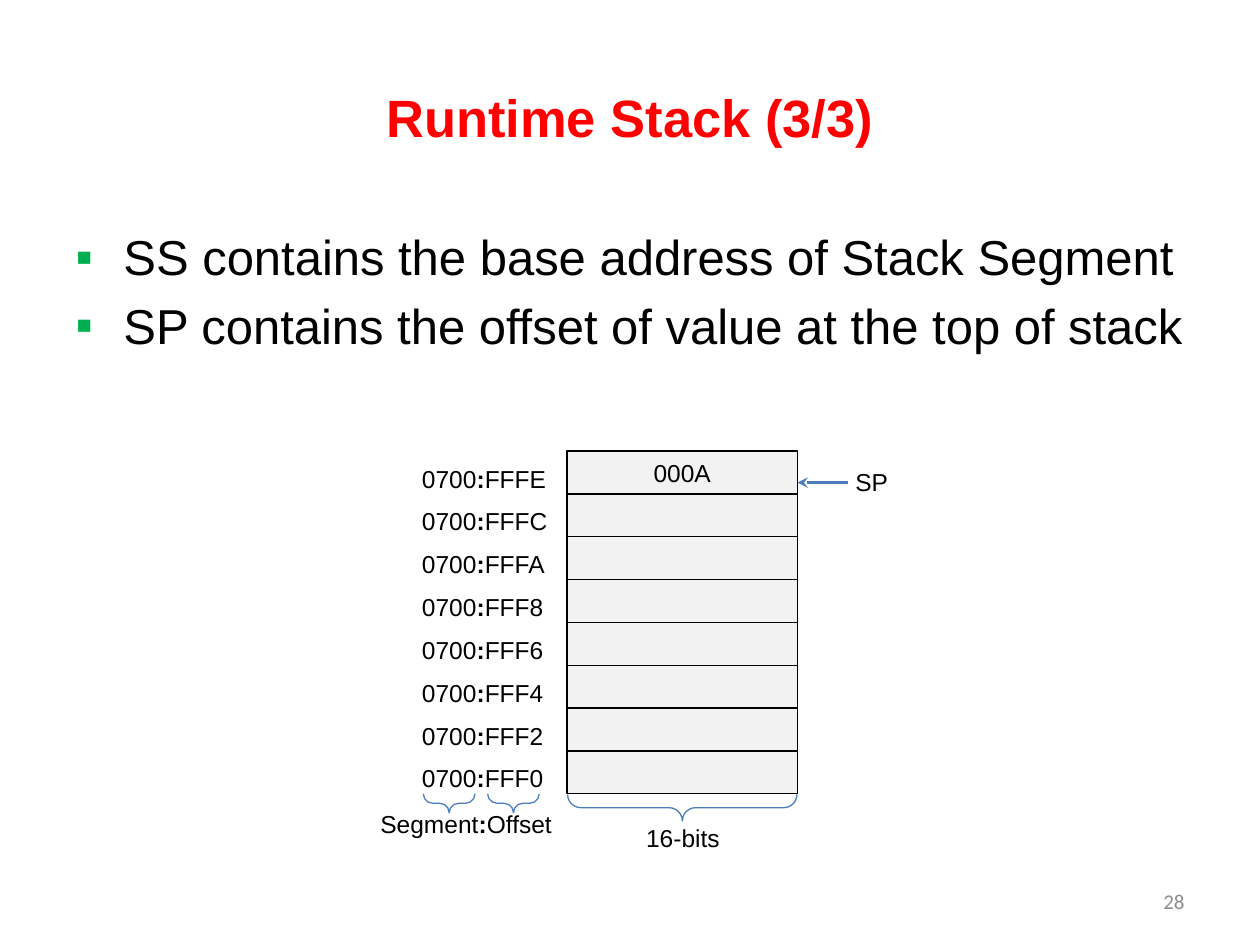
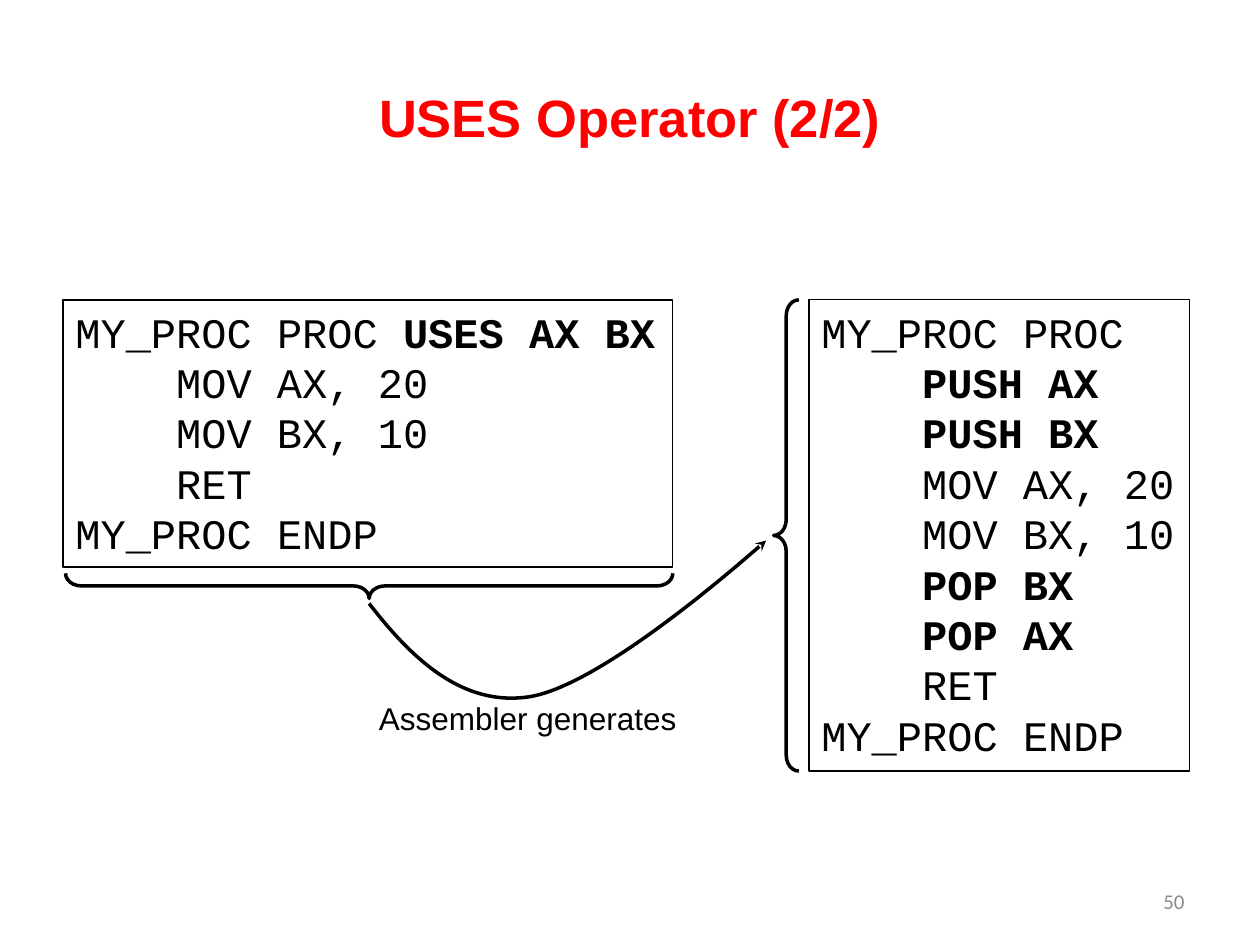
"""Build two assembly language slides: the runtime stack and the USES operator."""
from dataclasses import dataclass

from lxml.etree import SubElement
from pptx import Presentation
from pptx.dml.color import RGBColor
from pptx.enum.shapes import MSO_CONNECTOR, MSO_SHAPE
from pptx.enum.text import MSO_ANCHOR, PP_ALIGN
from pptx.oxml.ns import qn
from pptx.util import Inches, Pt


@dataclass(frozen=True)
class Theme:
    red: RGBColor = RGBColor(0xFF, 0, 0)
    black: RGBColor = RGBColor(0, 0, 0)
    blue: RGBColor = RGBColor(0x4B, 0x7E, 0xBC)
    gray: RGBColor = RGBColor(0x8C, 0x8C, 0x8C)
    pale: RGBColor = RGBColor(0xF2, 0xF2, 0xF2)
    green: str = "00B050"
    sans: str = "Arial"
    mono: str = "Courier New"
    foot: str = "Calibri"
    title: int = 30
    body: int = 28
    code: int = 24
    note: int = 18
    label: int = 14
    page: int = 12
    thin: float = 0.75
    thick: float = 2


theme = Theme()


def write(para, parts, size, color=theme.black, face=theme.sans):
    for text, bold in parts:
        run = para.add_run()
        run.text = text
        run.font.name, run.font.size, run.font.bold = face, Pt(size), bold
        run.font.color.rgb = color


def label(slide, x, y, width, parts, size=theme.label):
    box = slide.shapes.add_textbox(Inches(x), Inches(y), Inches(width), Inches(0.34))
    box.text_frame.word_wrap = True
    write(box.text_frame.paragraphs[0], parts, size)


deck = Presentation()
deck.slide_width, deck.slide_height = Inches(10), Inches(7.5)

pages = []
for layout, title, number in [(1, "Runtime Stack (3/3)", "28"), (5, "USES Operator (2/2)", "50")]:
    slide = deck.slides.add_slide(deck.slide_layouts[layout])
    head = slide.shapes.title
    head.left, head.top, head.width, head.height = map(Inches, (0.5, 0.3, 9, 1.25))
    write(head.text_frame.paragraphs[0], [(title, True)], theme.title, theme.red)
    foot = slide.shapes.add_textbox(*map(Inches, (7.17, 6.95, 2.33, 0.4))).text_frame
    foot.word_wrap, foot.vertical_anchor = True, MSO_ANCHOR.MIDDLE
    foot.paragraphs[0].alignment = PP_ALIGN.RIGHT
    write(foot.paragraphs[0], [(number, False)], theme.page, theme.gray, theme.foot)
    pages.append(slide)
stack, uses = pages

body = stack.placeholders[1]
body.left, body.top, body.width, body.height = map(Inches, (0.5, 1.75, 9, 4.95))
points = ["SS contains the base address of Stack Segment",
          "SP contains the offset of value at the top of stack"]
for i, point in enumerate(points):
    para = body.text_frame.add_paragraph() if i else body.text_frame.paragraphs[0]
    write(para, [(point, False)], theme.body)
    props = para._p.get_or_add_pPr()
    props.set("marL", str(Inches(0.38)))
    props.set("indent", str(-Inches(0.38)))
    SubElement(SubElement(props, qn("a:buClr")), qn("a:srgbClr"), val=theme.green)
    SubElement(props, qn("a:buFont"), typeface=theme.sans)
    SubElement(props, qn("a:buChar"), char="▪")

pitch = 0.34
for i, digit in enumerate("ECA86420"):
    cell = stack.shapes.add_shape(MSO_SHAPE.RECTANGLE, Inches(4.5), Inches(3.58 + i * pitch),
                                  Inches(1.83), Inches(pitch))
    cell.shadow.inherit = False
    cell.fill.solid()
    cell.fill.fore_color.rgb = theme.pale
    cell.line.color.rgb, cell.line.width = theme.black, Pt(theme.thin)
    if i == 0:
        cell.text_frame.paragraphs[0].alignment = PP_ALIGN.CENTER
        write(cell.text_frame.paragraphs[0], [("000A", False)], theme.label)
    label(stack, 3.25, 3.63 + i * pitch, 1.25,
          [("0700", False), (":", True), ("FFF" + digit, False)])

label(stack, 2.92, 6.37, 1.65, [("Segment", False), (":", True), ("Offset", False)])
label(stack, 5.03, 6.48, 0.9, [("16-bits", False)])
label(stack, 6.69, 3.66, 0.6, [("SP", False)])
label(uses, 2.91, 5.5, 2.8, [("Assembler generates", False)], theme.note)

codes = [
    (0.5, 4.84, 2.12, [
        (0, [("MY_PROC PROC ", False), ("USES AX BX", True)]),
        (1, [("MOV AX, 20", False)]),
        (1, [("MOV BX, 10", False)]),
        (1, [("RET", False)]),
        (0, [("MY_PROC ENDP", False)])]),
    (6.42, 3.02, 3.74, [
        (0, [("MY_PROC PROC", False)]),
        (1, [("PUSH AX", True)]),
        (1, [("PUSH BX", True)]),
        (1, [("MOV AX, 20", False)]),
        (1, [("MOV BX, 10", False)]),
        (1, [("POP BX", True)]),
        (1, [("POP AX", True)]),
        (1, [("RET", False)]),
        (0, [("MY_PROC ENDP", False)])]),
]
for x, width, height, rows in codes:
    box = uses.shapes.add_shape(MSO_SHAPE.RECTANGLE, *map(Inches, (x, 2.38, width, height)))
    box.shadow.inherit = False
    box.fill.background()
    box.line.color.rgb, box.line.width = theme.black, Pt(theme.thin)
    frame = box.text_frame
    frame.word_wrap, frame.vertical_anchor = True, MSO_ANCHOR.TOP
    for i, (depth, parts) in enumerate(rows):
        para = frame.add_paragraph() if i else frame.paragraphs[0]
        para.alignment = PP_ALIGN.LEFT
        para._p.get_or_add_pPr().set("marL", str(Inches(0.8 * depth)))
        write(para, parts, theme.code, face=theme.mono)

braces = [
    (stack, 3.49, 6.17, 0.15, 0.41, 270, 0.5, theme.blue, theme.thin),
    (stack, 4, 6.17, 0.15, 0.41, 270, 0.5, theme.blue, theme.thin),
    (stack, 5.31, 5.5, 0.21, 1.82, 270, 0.5, theme.blue, theme.thin),
    (uses, 2.83, 2.24, 0.2, 4.82, 270, 0.63, theme.black, theme.thick),
    (uses, 6.14, 2.38, 0.2, 3.74, 0, 0.63, theme.black, theme.thick),
]
for slide, x, y, width, height, turn, bend, color, weight in braces:
    brace = slide.shapes.add_shape(MSO_SHAPE.LEFT_BRACE, *map(Inches, (x, y, width, height)))
    brace.shadow.inherit = False
    brace.rotation, brace.adjustments[0] = turn, bend
    brace.fill.background()
    brace.line.color.rgb, brace.line.width = color, Pt(weight)

arrow = stack.shapes.add_connector(MSO_CONNECTOR.STRAIGHT, *map(Inches, (6.73, 3.83, 6.33, 3.83)))
SubElement(arrow._element.spPr, qn("a:effectLst"))

knots = [(3.27, 5.23), (3.67, 5.61), (4.2, 5.53), (4.72, 5.45), (5.81, 4.53), (6.08, 4.29)]
pen = uses.shapes.build_freeform(Inches(2.93), Inches(4.79))
pen.add_line_segments([(Inches(x), Inches(y)) for x, y in knots], close=False)
curve = pen.convert_to_shape()
curve.shadow.inherit = False
curve.fill.background()
trace = curve._element.find(".//" + qn("a:path"))
steps = trace.findall(qn("a:lnTo"))
for i in range(0, len(steps), 3):
    bend = SubElement(trace, qn("a:cubicBezTo"))
    for step in steps[i:i + 3]:
        bend.append(step[0])
        trace.remove(step)

for line, color in [(arrow, theme.blue), (curve, theme.black)]:
    line.line.color.rgb, line.line.width = color, Pt(theme.thick)
    SubElement(line._element.spPr.find(qn("a:ln")), qn("a:tailEnd"), type="stealth")

deck.save("out.pptx")
